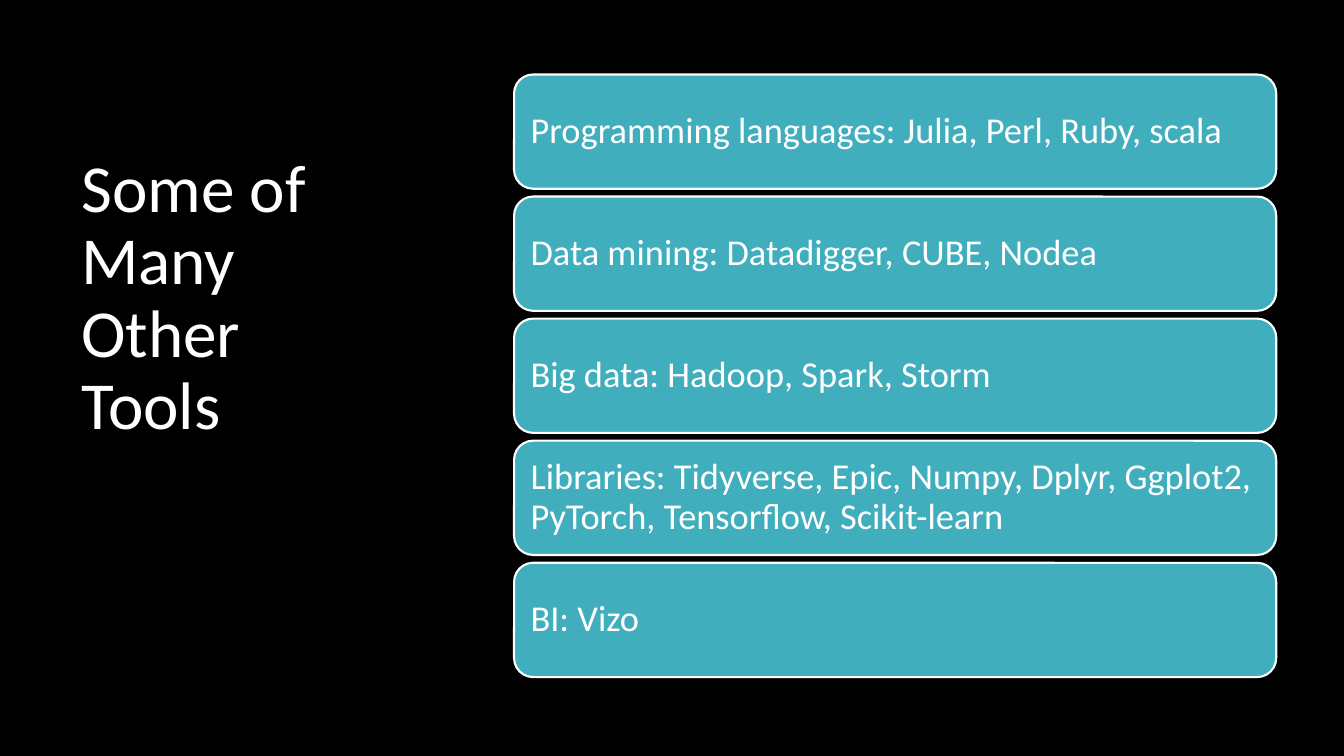
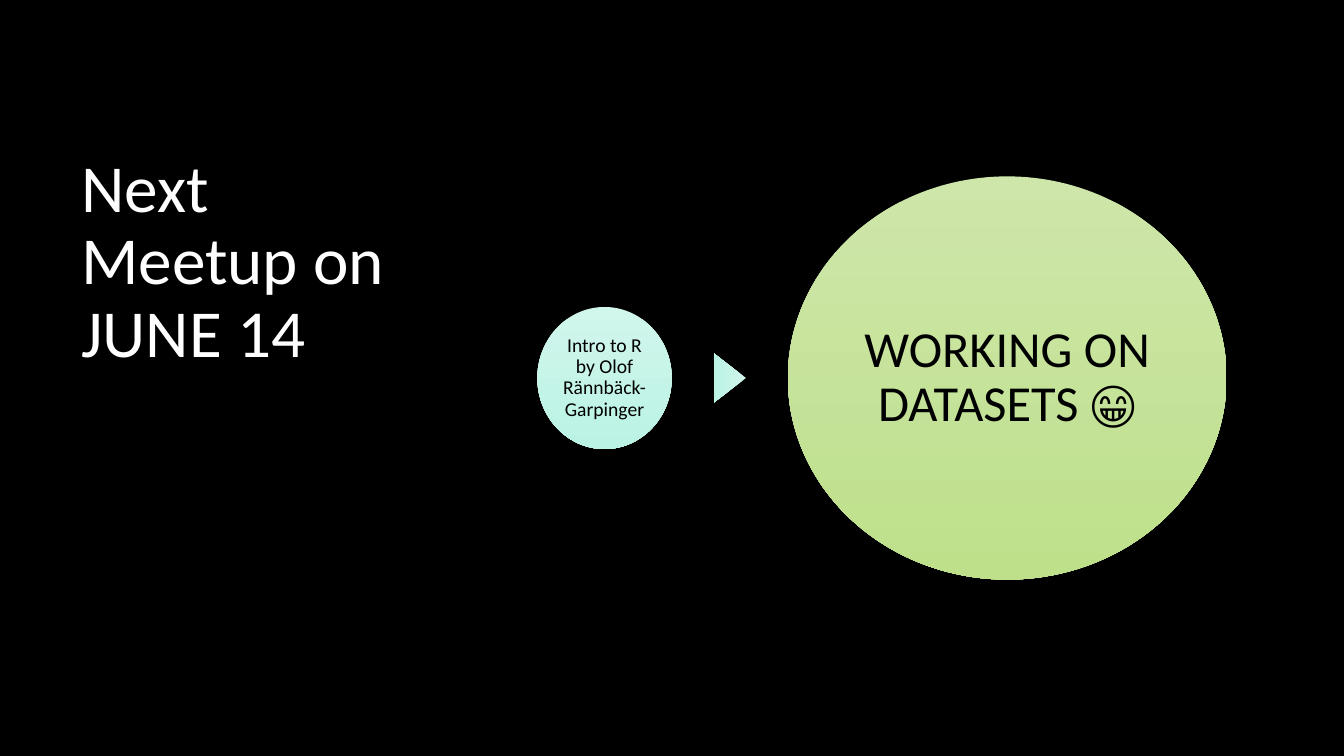
from pptx import Presentation
from pptx.dml.color import RGBColor
from pptx.enum.shapes import MSO_SHAPE as Shape
from pptx.enum.text import MSO_ANCHOR as Anchor, PP_ALIGN as Align
from pptx.util import Pt

BLACK = RGBColor(0x00, 0x00, 0x00)
WHITE = RGBColor(0xFF, 0xFF, 0xFF)
TEAL = RGBColor(0x41, 0xAE, 0xBD)
MINT = (RGBColor(0xD1, 0xF6, 0xEC), RGBColor(0xBA, 0xF3, 0xE4))
LIME = (RGBColor(0xCE, 0xE6, 0xAA), RGBColor(0xBE, 0xE0, 0x8A))

SLIDE_WIDTH, SLIDE_HEIGHT = 960, 540
MIDDLE = SLIDE_HEIGHT / 2


class Deck:
    """Shared style plus the slide being filled; all lengths in points."""

    font = "Calibri"
    line_spacing = 0.9

    def __init__(self):
        self.prs = Presentation()
        self.prs.slide_width = Pt(SLIDE_WIDTH)
        self.prs.slide_height = Pt(SLIDE_HEIGHT)
        self.slide = None

    def new_slide(self, title):
        self.slide = self.prs.slides.add_slide(self.prs.slide_layouts[6])
        background = self.slide.background.fill
        background.solid()
        background.fore_color.rgb = BLACK
        heading = self.slide.shapes.add_textbox(Pt(51), Pt(106.5), Pt(231), Pt(351))
        self.set_text(heading, title, 48, WHITE)

    def set_text(self, shape, text, size, color, align=Align.LEFT,
                 anchor=Anchor.TOP, inset=None):
        frame = shape.text_frame
        frame.word_wrap = True
        frame.vertical_anchor = anchor
        if inset is not None:
            frame.margin_left = frame.margin_right = Pt(inset)
            frame.margin_top = frame.margin_bottom = Pt(inset)
        frame.text = text
        paragraph = frame.paragraphs[0]
        paragraph.alignment = align
        paragraph.line_spacing = self.line_spacing
        font = paragraph.runs[0].font
        font.name, font.size, font.color.rgb = self.font, Pt(size), color

    def add_shape(self, kind, left, top, width, height):
        shape = self.slide.shapes.add_shape(
            kind, Pt(left), Pt(top), Pt(width), Pt(height))
        shape.shadow.inherit = False
        return shape

    def card(self, text, left, top, width, height):
        card = self.add_shape(Shape.ROUNDED_RECTANGLE, left, top, width, height)
        card.fill.solid()
        card.fill.fore_color.rgb = TEAL
        card.line.color.rgb = WHITE
        card.line.width = Pt(1.5)
        self.set_text(card, text, 26, WHITE, anchor=Anchor.MIDDLE, inset=7.8)

    def gradient_shape(self, kind, center_x, width, height, colors):
        shape = self.add_shape(
            kind, center_x - width / 2, MIDDLE - height / 2, width, height)
        shape.fill.gradient()
        shape.fill.gradient_angle = 270
        for stop, color in zip(shape.fill.gradient_stops, colors):
            stop.color.rgb = color
        shape.line.fill.background()
        return shape

    def bubble(self, text, left, width, height, colors, size, inset):
        bubble = self.gradient_shape(
            Shape.OVAL, left + width / 2, width, height, colors)
        self.set_text(bubble, text, size, BLACK, Align.CENTER, Anchor.MIDDLE, inset)

    def arrow(self, left, length, breadth, colors):
        arrow = self.gradient_shape(
            Shape.ISOSCELES_TRIANGLE, left + length / 2, breadth, length, colors)
        arrow.rotation = 90


def tools_slide(deck):
    deck.new_slide("Some of Many Other Tools")

    # Stack of tool groups
    tool_groups = [
        "Programming languages: Julia, Perl, Ruby, scala",
        "Data mining: Datadigger, CUBE, Nodea",
        "Big data: Hadoop, Spark, Storm",
        "Libraries: Tidyverse, Epic, Numpy, Dplyr, Ggplot2, PyTorch, "
        "Tensorflow, Scikit-learn",
        "BI: Vizo",
    ]
    top, height, gap = 53.2, 81.6, 5.6
    for row, group in enumerate(tool_groups):
        deck.card(group, 367.2, top + row * (height + gap), 544.4, height)


def meetup_slide(deck):
    deck.new_slide("Next Meetup on JUNE 14")

    # Intro leads to the workshop, evenly spaced
    intro_left, intro_width, arrow_length, gap = 383.8, 96, 23, 30
    arrow_left = intro_left + intro_width + gap
    workshop_left = arrow_left + arrow_length + gap
    deck.bubble("Intro to R by Olof Rännbäck-Garpinger",
                intro_left, intro_width, 101.5, MINT, 14, 1.4)
    deck.arrow(arrow_left, arrow_length, 35.3, MINT)
    deck.bubble("WORKING ON DATASETS 😁",
                workshop_left, 313.4, 288, LIME, 36, 3.6)


def main():
    deck = Deck()
    tools_slide(deck)
    meetup_slide(deck)
    deck.prs.save("out.pptx")


if __name__ == "__main__":
    main()
